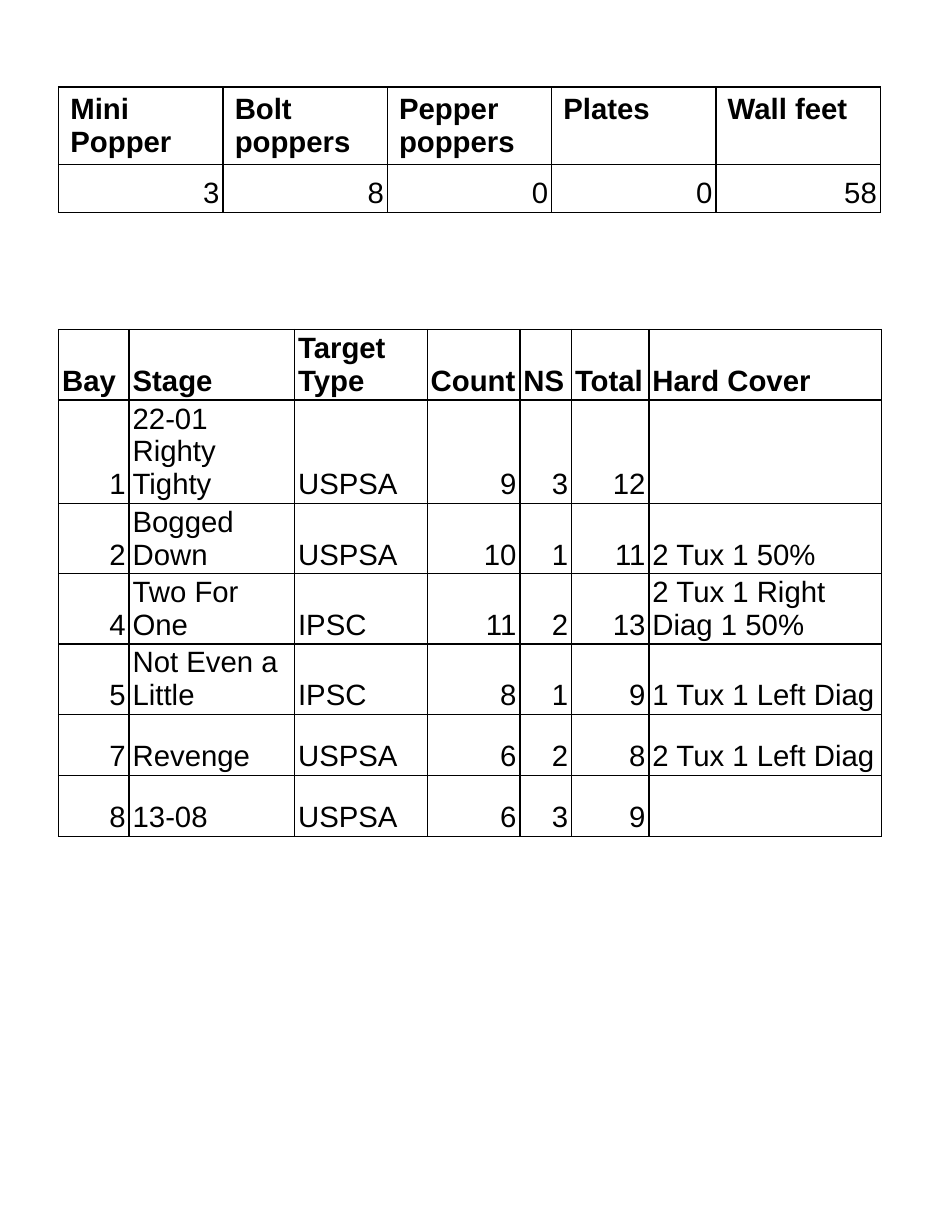
from lxml.etree import SubElement
from pptx import Presentation
from pptx.dml.color import RGBColor
from pptx.enum.text import MSO_ANCHOR, PP_ALIGN
from pptx.oxml.ns import qn
from pptx.util import Inches, Pt

BLACK = RGBColor(0x00, 0x00, 0x00)
WHITE = RGBColor(0xFF, 0xFF, 0xFF)

# Content: numbers are set right, words left
EQUIPMENT = [
    ("Mini Popper", "Bolt poppers", "Pepper poppers", "Plates", "Wall feet"),
    (3, 8, 0, 0, 58),
]
STAGES = [
    ("Bay", "Stage", "Target Type", "Count", "NS", "Total", "Hard Cover"),
    (1, "22-01 Righty Tighty", "USPSA", 9, 3, 12, ""),
    (2, "Bogged Down", "USPSA", 10, 1, 11, "2 Tux 1 50%"),
    (4, "Two For One", "IPSC", 11, 2, 13, "2 Tux 1 Right Diag 1 50%"),
    (5, "Not Even a Little", "IPSC", 8, 1, 9, "1 Tux 1 Left Diag"),
    (7, "Revenge", "USPSA", 6, 2, 8, "2 Tux 1 Left Diag"),
    (8, "13-08", "USPSA", 6, 3, 9, ""),
]
EQUIPMENT_WIDTHS = [1.4] * 5
STAGE_WIDTHS = [0.6, 1.41, 1.13, 0.79, 0.44, 0.66, 1.98]
LEFT, WIDTH = 0.5, 7.01


def add_borders(cell):
    properties = cell._tc.get_or_add_tcPr()
    for index, side in enumerate(("lnL", "lnR", "lnT", "lnB")):
        line = SubElement(properties, qn(f"a:{side}"), w=str(Pt(1)))
        fill = SubElement(line, qn("a:solidFill"))
        SubElement(fill, qn("a:srgbClr"), val=str(BLACK))
        properties.insert(index, line)  # borders come before the fill


def format_cell(cell, value, bold, compact):
    cell.fill.solid()
    cell.fill.fore_color.rgb = WHITE
    add_borders(cell)
    if compact:
        cell.vertical_anchor = MSO_ANCHOR.BOTTOM
        cell.margin_left = cell.margin_right = Inches(0.03)
        cell.margin_top = cell.margin_bottom = Inches(0.02)
    cell.text_frame.text = str(value)
    paragraph = cell.text_frame.paragraphs[0]
    if isinstance(value, int):
        paragraph.alignment = PP_ALIGN.RIGHT
    font = paragraph.font
    for run in paragraph.runs:
        font = run.font
    font.name = "Arial"
    font.size = Pt(18)
    font.bold = bold
    font.color.rgb = BLACK


def add_grid(slide, rows, widths, top, height, row_height, compact_header):
    shape = slide.shapes.add_table(len(rows), len(widths), Inches(LEFT),
                                   Inches(top), Inches(WIDTH), Inches(height))
    table = shape.table
    table.horz_banding = False
    for column, width in zip(table.columns, widths):
        column.width = Inches(width)
    for row_index, values in enumerate(rows):
        header = row_index == 0
        table.rows[row_index].height = Inches(row_height)
        for column_index, value in enumerate(values):
            format_cell(table.cell(row_index, column_index), value,
                        header, compact_header or not header)
    # Rows grow to fit wrapped text, so the frame is taller than their sum
    shape.width, shape.height = Inches(WIDTH), Inches(height)


def main():
    presentation = Presentation()
    presentation.slide_width = Inches(8)
    presentation.slide_height = Inches(10.5)
    slide = presentation.slides.add_slide(presentation.slide_layouts[6])

    # Equipment totals
    add_grid(slide, EQUIPMENT, EQUIPMENT_WIDTHS, 0.74, 1.11, 0.41, False)
    # Targets by stage
    add_grid(slide, STAGES, STAGE_WIDTHS, 2.81, 4.54, 0.52, True)

    presentation.save("out.pptx")


if __name__ == "__main__":
    main()
